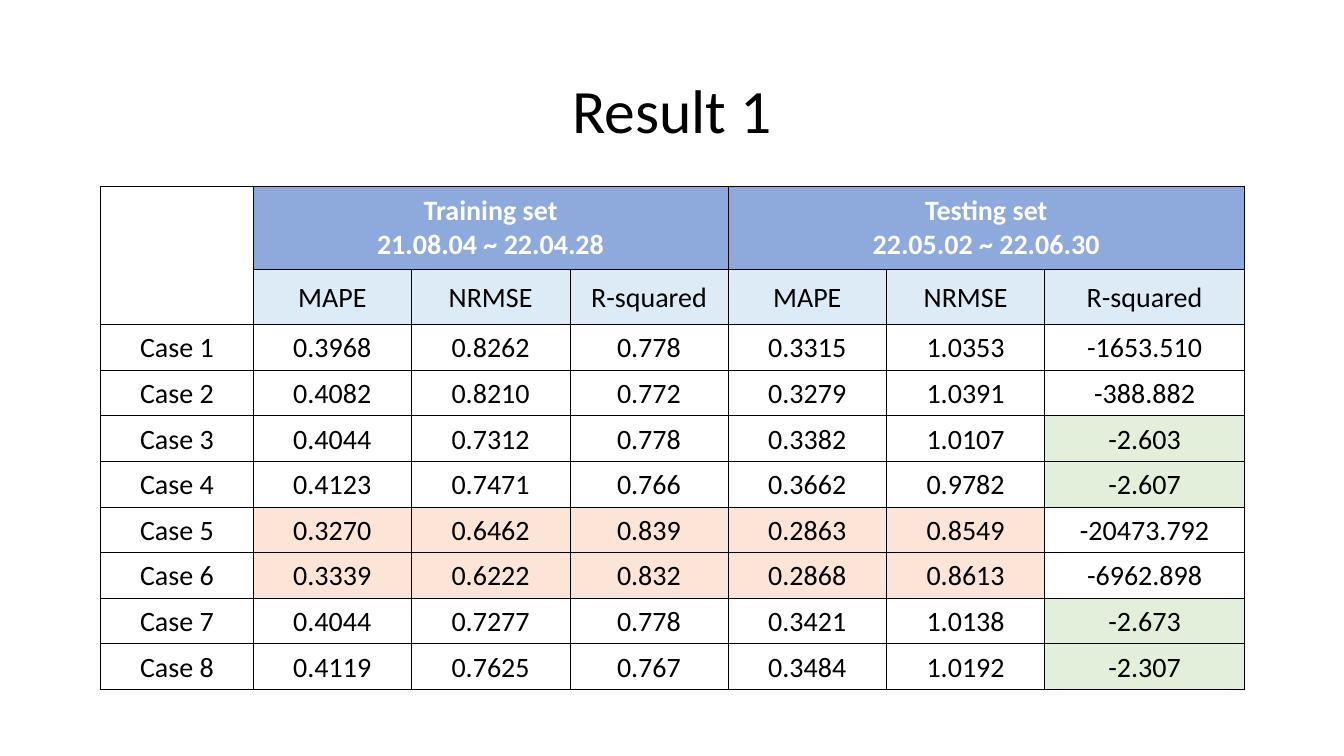
from lxml import etree
from pptx import Presentation
from pptx import util as u
from pptx.dml.color import RGBColor
from pptx.enum import text
from pptx.oxml import ns

HUES = {"ink": "000000", "paper": "FFFFFF", "head": "8EA9DB",
        "sub": "DDEBF7", "peach": "FCE4D6", "green": "E2EFDA"}
COLS = [3.84] + [3.99] * 5 + [5.03]
ROWS = [2.08, 1.39] + [1.15] * 8
# Grid lines that bound the blocks are heavier
HEAVY = {"col": (0, 1, 4, 7), "row": (0, 1, 2, 10)}
WIDE = {"margin_left": u.Cm(0.36), "margin_right": u.Cm(0.36),
        "margin_top": u.Cm(0.18), "margin_bottom": u.Cm(0.18)}
TIGHT = {"margin_left": u.Cm(0.05), "margin_right": u.Cm(0.05),
         "margin_top": u.Cm(0.05), "margin_bottom": 0}

GROUPS = {1: "Training set\v21.08.04 ~ 22.04.28",
          4: "Testing set\v22.05.02 ~ 22.06.30"}
METRICS = ["MAPE", "NRMSE", "R-squared"] * 2
CASES = [
    "0.3968 0.8262 0.778 0.3315 1.0353 -1653.510",
    "0.4082 0.8210 0.772 0.3279 1.0391 -388.882",
    "0.4044 0.7312 0.778 0.3382 1.0107 -2.603",
    "0.4123 0.7471 0.766 0.3662 0.9782 -2.607",
    "0.3270 0.6462 0.839 0.2863 0.8549 -20473.792",
    "0.3339 0.6222 0.832 0.2868 0.8613 -6962.898",
    "0.4044 0.7277 0.778 0.3421 1.0138 -2.673",
    "0.4119 0.7625 0.767 0.3484 1.0192 -2.307",
]


def put(item, form):
    for name, value in form.items():
        setattr(item, name, value)


def shade(case, col):
    if case in (5, 6) and 1 <= col <= 5:
        return "peach"
    if case in (3, 4, 7, 8) and col == 6:
        return "green"
    return "paper"


class Deck:
    font = "Calibri"

    def __init__(self):
        self.prs = Presentation()
        put(self.prs, {"slide_width": u.Cm(33.87), "slide_height": u.Cm(19.05)})
        self.slide = self.prs.slides.add_slide(self.prs.slide_layouts[5])

    def label(self, frame, words, size, hue="ink", bold=False):
        frame.text = words
        for para in frame.paragraphs:
            para.alignment = text.PP_ALIGN.CENTER
            for run in para.runs:
                put(run.font, {"name": self.font, "size": u.Pt(size), "bold": bold})
                run.font.color.rgb = RGBColor.from_string(HUES[hue])

    def title(self, words, left, top, width, height):
        box = self.slide.shapes.title
        put(box, {"left": u.Cm(left), "top": u.Cm(top),
                  "width": u.Cm(width), "height": u.Cm(height)})
        self.label(box.text_frame, words, 44)
        box.text_frame.vertical_anchor = text.MSO_ANCHOR.MIDDLE
        box.text_frame.paragraphs[0].line_spacing = 0.9

    def table(self, left, top):
        frame = self.slide.shapes.add_table(
            len(ROWS), len(COLS), u.Cm(left), u.Cm(top),
            u.Cm(sum(COLS)), u.Cm(sum(ROWS)))
        grid = frame.table
        put(grid, {"first_row": False, "horz_banding": False})
        for col, width in zip(grid.columns, COLS):
            col.width = u.Cm(width)
        for row, height in zip(grid.rows, ROWS):
            row.height = u.Cm(height)
        for r in range(len(ROWS)):
            for c in range(len(COLS)):
                self.edge(grid.cell(r, c), r, c)
        return grid

    def edge(self, cell, row, col):
        props = cell._tc.get_or_add_tcPr()
        sides = {"lnL": ("col", col), "lnR": ("col", col + 1),
                 "lnT": ("row", row), "lnB": ("row", row + 1)}
        for tag, (axis, spot) in sides.items():
            width = u.Pt(1 if spot in HEAVY[axis] else 0.5)
            line = etree.SubElement(props, ns.qn("a:" + tag), w=str(width))
            fill = etree.SubElement(line, ns.qn("a:solidFill"))
            etree.SubElement(fill, ns.qn("a:srgbClr"), val=HUES["ink"])

    def cell(self, cell, words, fill, form=TIGHT, **style):
        put(cell, {"vertical_anchor": text.MSO_ANCHOR.MIDDLE, **form})
        cell.fill.solid()
        cell.fill.fore_color.rgb = RGBColor.from_string(HUES[fill])
        self.label(cell.text_frame, words, 20, **style)


def main():
    deck = Deck()
    deck.title("Result 1", 2.33, 1.02, 29.21, 3.68)
    grid = deck.table(2.54, 4.7)

    # Merged header cells
    grid.cell(0, 0).merge(grid.cell(1, 0))
    deck.cell(grid.cell(0, 0), "", "paper")
    for col, words in GROUPS.items():
        grid.cell(0, col).merge(grid.cell(0, col + 2))
        deck.cell(grid.cell(0, col), words, "head", WIDE, hue="paper", bold=True)
    for col, words in enumerate(METRICS, 1):
        deck.cell(grid.cell(1, col), words, "sub")

    # One row per case
    for case, line in enumerate(CASES, 1):
        for col, words in enumerate([f"Case {case}"] + line.split()):
            deck.cell(grid.cell(case + 1, col), words, shade(case, col))

    deck.prs.save("out.pptx")


if __name__ == "__main__":
    main()
